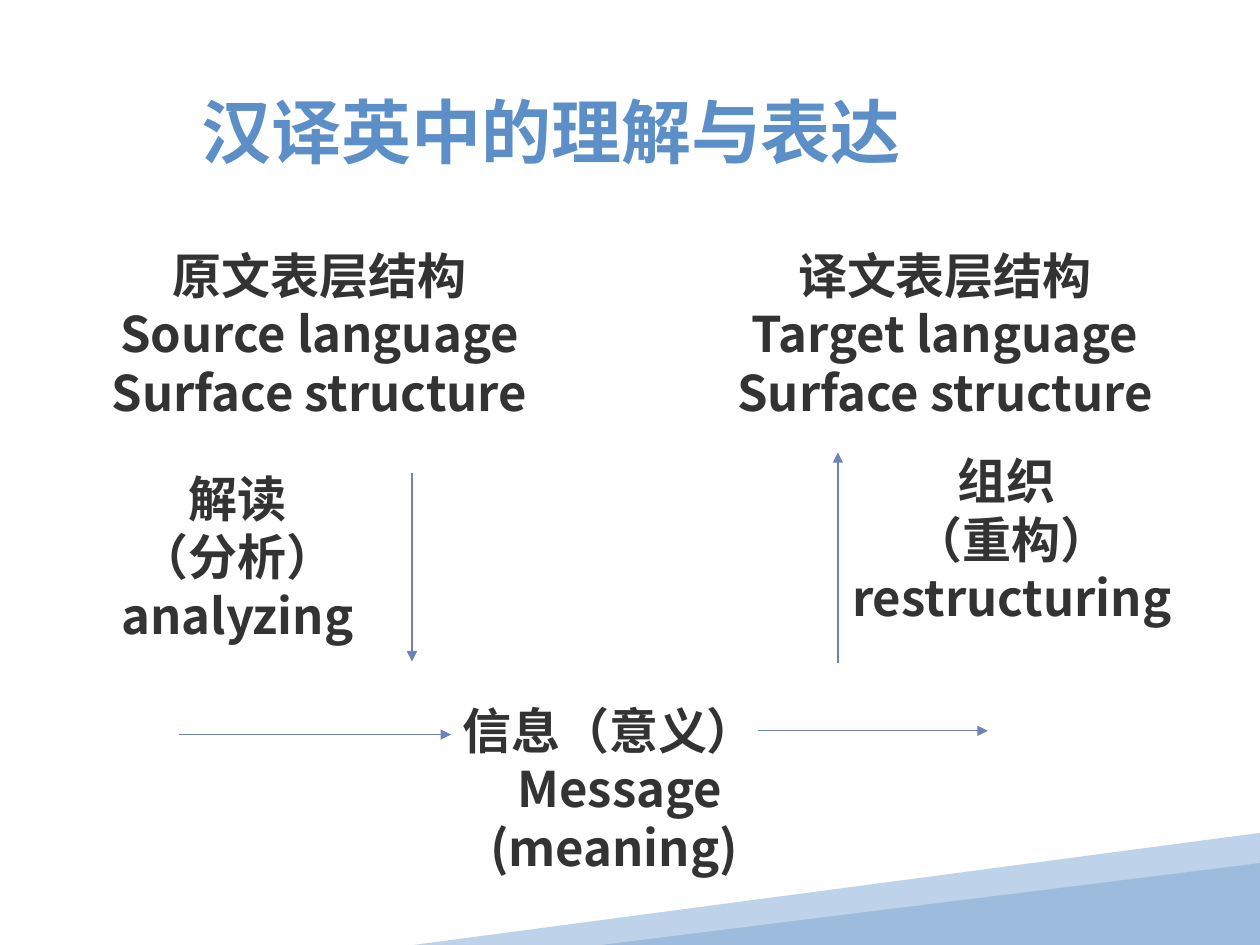
from lxml import etree
from pptx import Presentation
from pptx import util as u
from pptx.dml.color import RGBColor
from pptx.enum import shapes, text
from pptx.oxml import ns

PX = 9144
THEME = {
    "font": "Noto Sans CJK SC",
    "title": {"size": 40, "color": "5C8FC7", "pitch": 48},
    "label": {"size": 28, "color": "333333", "pitch": 33.4},
    "line": "6E82BA",
    "band_light": "BED2E9",
    "band_dark": "9DBCDD",
}


def px(*values):
    return [u.Emu(v * PX) for v in values]


def write(sp, lines, style, align, wrap=False):
    tf = sp.text_frame
    frame = {"word_wrap": wrap, "auto_size": text.MSO_AUTO_SIZE.NONE,
             "vertical_anchor": text.MSO_ANCHOR.TOP, "margin_left": 10 * PX,
             "margin_right": 10 * PX, "margin_top": 9 * PX, "margin_bottom": 5 * PX}
    for name, value in frame.items():
        setattr(tf, name, value)
    for i, (line, indent) in enumerate(lines):
        p = tf.paragraphs[0] if i == 0 else tf.add_paragraph()
        para = {"alignment": align, "line_spacing": u.Pt(style["pitch"]),
                "space_before": u.Pt(0), "space_after": u.Pt(0)}
        for name, value in para.items():
            setattr(p, name, value)
        if indent:
            p._p.get_or_add_pPr().set("marL", str(indent * PX))
        r = p.add_run()
        r.text = line
        for name, value in {"name": THEME["font"], "size": u.Pt(style["size"]), "bold": True}.items():
            setattr(r.font, name, value)
        r.font.color.rgb = RGBColor.from_string(style["color"])
        ea = etree.SubElement(r._r.get_or_add_rPr(), ns.qn("a:ea"))
        ea.set("typeface", THEME["font"])


prs = Presentation()
prs.slide_width, prs.slide_height = px(1000, 750)
s = prs.slides.add_slide(prs.slide_layouts[5])

bands = s.shapes.add_group_shape()
builder = bands.shapes.build_freeform(1000, 661, scale=PX)
builder.add_line_segments([(1000, 744), (673, 750), (328, 750)], close=True)
light = builder.convert_to_shape()
dark = bands.shapes.add_shape(shapes.MSO_SHAPE.ISOSCELES_TRIANGLE, *px(477, 685, 523, 65))
dark.adjustments[0] = 1
for sp, color in ((light, "band_light"), (dark, "band_dark")):
    sp.shadow.inherit = False
    sp.fill.solid()
    sp.fill.fore_color.rgb = RGBColor.from_string(THEME[color])
    sp.line.fill.background()

title = s.shapes.title
for name, value in zip(("left", "top", "width", "height"), px(150, 61, 576, 77)):
    setattr(title, name, value)
write(title, [("汉译英中的理解与表达", 0)], THEME["title"], text.PP_ALIGN.LEFT)

labels = [
    ((67, 186, 373, 151), [("原文表层结构", 0), ("Source language", 0), ("Surface structure", 0)]),
    ((572, 186, 356, 151), [("译文表层结构", 0), ("Target language", 0), ("Surface structure", 0)]),
    ((85, 363, 207, 198), [("解读", 0), ("（分析）", 0), ("analyzing", 0)]),
    ((357, 547, 253, 151), [("信息（意义）", 0), ("Message", 17), ("(meaning)", 8)]),
    ((665, 349, 276, 151), [("组织 ", 0), ("（重构）", 0), ("restructuring", 0)]),
]
for box, lines in labels:
    write(s.shapes.add_textbox(*px(*box)), lines, THEME["label"], text.PP_ALIGN.CENTER)

arrows = [(142, 583, 358, 583), (665, 526, 665, 359), (327, 375, 327, 525), (602, 580, 784, 580)]
for ends in arrows:
    arrow = s.shapes.add_connector(shapes.MSO_CONNECTOR.STRAIGHT, *px(*ends))
    arrow.line.color.rgb = RGBColor.from_string(THEME["line"])
    arrow.line.width = u.Pt(0.75)
    etree.SubElement(arrow.line._get_or_add_ln(), ns.qn("a:tailEnd")).set("type", "triangle")
    etree.SubElement(arrow._element.spPr, ns.qn("a:effectLst"))

prs.save("out.pptx")
